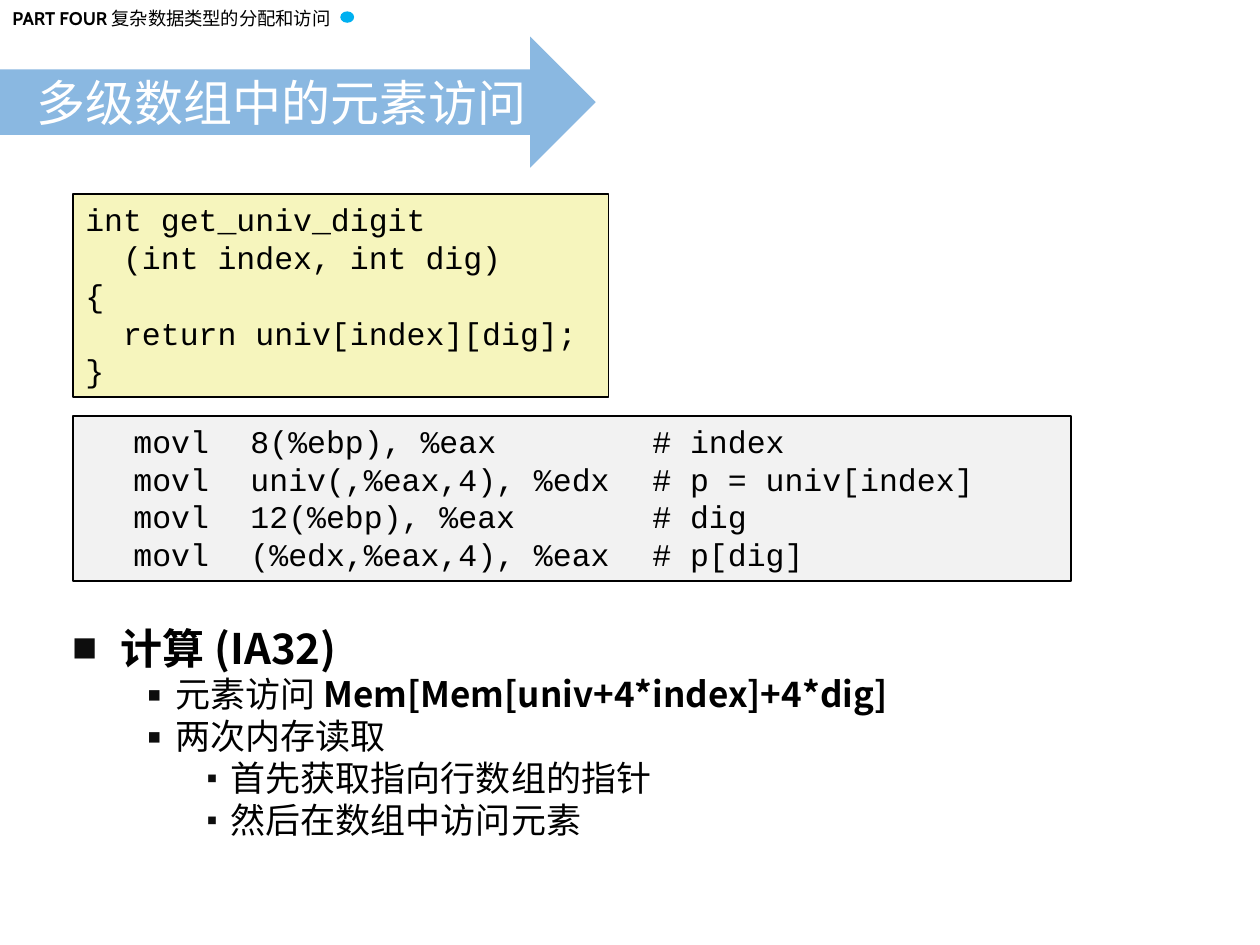
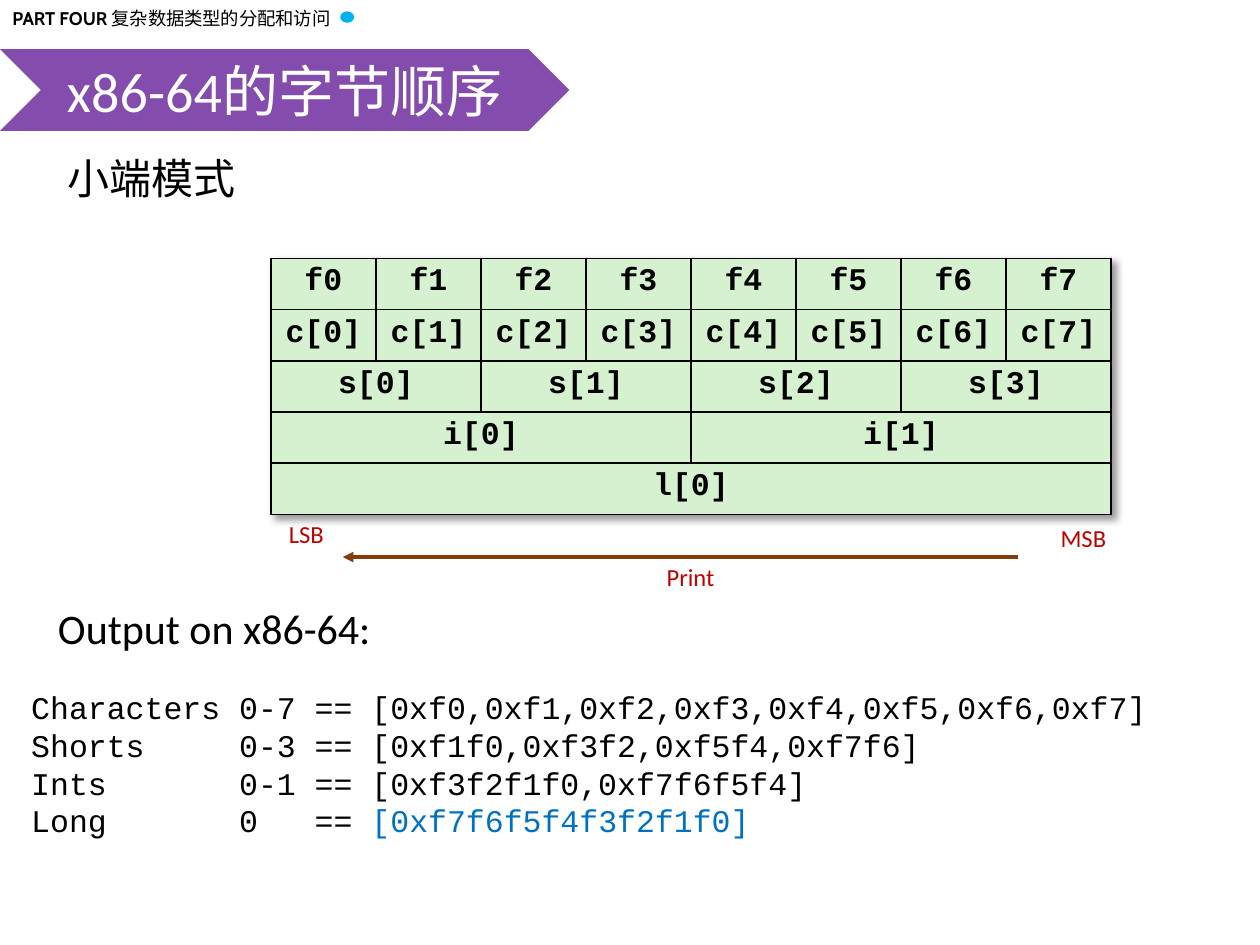
from lxml import etree
from pptx import Presentation
from pptx.dml.color import RGBColor
from pptx.enum import shapes, text
from pptx.oxml import ns
from pptx.util import Cm, Pt


class Theme:
    cjk, heading, body, code = "Noto Sans CJK SC", "Cabin", "Calibri", "Courier New"
    black, white, bullet = "000000", "FFFFFF", "0D0D0D"
    dot, arrow, chevron = "00B0F0", "5B9BD5", "7030A0"
    c_code, assembly, cells = "F6F5BD", "F2F2F2", "D5F1CF"
    label, direction, highlight = "C00000", "843C0B", "0070C0"
    header_pt, label_pt, code_pt, detail_pt = Pt(10.5), Pt(14), Pt(18), Pt(20)
    topic_pt, title_pt, wide_title_pt = Pt(24), Pt(28), Pt(32)
    tight = Cm(0.1)


def element(parent, tag, position=None, **attributes):
    child = etree.Element(ns.qn(tag), {key: str(value) for key, value in attributes.items()})
    parent.insert(len(parent) if position is None else position, child)
    return child


def write(frame, lines, style, align=text.PP_ALIGN.LEFT, **frame_format):
    frame_format = {"word_wrap": True, "vertical_anchor": text.MSO_ANCHOR.TOP} | frame_format
    for key, value in frame_format.items():
        setattr(frame, key, value)
    for number, line in enumerate(lines):
        paragraph = frame.add_paragraph() if number else frame.paragraphs[0]
        paragraph.alignment = align
        for words, changes in [(line, {})] if isinstance(line, str) else line:
            run = paragraph.add_run()
            run.text = words
            font_format = style | changes
            run.font.color.rgb = RGBColor.from_string(font_format.pop("color", Theme.black))
            for key, value in font_format.items():
                setattr(run.font, key, value)
            if font_format["name"] != Theme.code:
                element(run._r.get_or_add_rPr(), "a:ea", typeface=Theme.cjk)


code_style = {"name": Theme.code, "size": Theme.code_pt}
topic_style = {"name": Theme.body, "size": Theme.topic_pt}
label_style = {"name": Theme.body, "size": Theme.label_pt, "color": Theme.label}
tight_margins = dict.fromkeys(
    ["margin_left", "margin_top", "margin_right", "margin_bottom"], Theme.tight)

deck = Presentation()
deck.slide_width, deck.slide_height = Cm(25.4), Cm(19.05)

titles = [
    (shapes.MSO_SHAPE.RIGHT_ARROW, Theme.arrow, 71, (0, 0.74, 12.01, 2.64), Theme.title_pt,
     [("多级数组中的元素访问", {})]),
    (shapes.MSO_SHAPE.CHEVRON, Theme.chevron, 86, (0, 0.99, 11.48, 1.65), Theme.wide_title_pt,
     [("x86-64", {"name": Theme.body}), ("的字节顺序", {})]),
]
for outline, color, opacity, place, size, title in titles:
    slide = deck.slides.add_slide(deck.slide_layouts[6])
    header = slide.shapes.add_textbox(Cm(0), Cm(0.03), Cm(7.09), Cm(0.71))
    write(header.text_frame,
          [[("PART FOUR ", {"name": Theme.heading, "bold": True}), ("复杂数据类型的分配和访问", {})]],
          {"name": Theme.cjk, "size": Theme.header_pt}, word_wrap=False)
    dot = slide.shapes.add_shape(shapes.MSO_SHAPE.OVAL, Cm(6.86), Cm(0.23), Cm(0.28), Cm(0.23))
    banner = slide.shapes.add_shape(outline, *map(Cm, place))
    for shape, fill in [(dot, Theme.dot), (banner, color)]:
        shape.shadow.inherit = False
        shape.fill.solid()
        shape.fill.fore_color.rgb = RGBColor.from_string(fill)
        shape.line.fill.background()
    banner_color = banner._element.spPr.find(".//" + ns.qn("a:srgbClr"))
    element(banner_color, "a:alpha", val=opacity * 1000)
    write(banner.text_frame, [title],
          {"name": Theme.heading, "size": size, "color": Theme.white},
          text.PP_ALIGN.CENTER, vertical_anchor=text.MSO_ANCHOR.MIDDLE)

access, byte_order = deck.slides

listings = [
    (Theme.c_code, (1.47, 3.91, 10.8, 4.09), [], [
        "int get_univ_digit",
        "  (int index, int dig)",
        "{",
        "  return univ[index][dig];",
        "}",
    ]),
    (Theme.assembly, (1.47, 8.38, 20.12, 3.33), [0.97, 3.33, 10.16], [
        "\tmovl\t8(%ebp), %eax\t\t# index",
        "\tmovl\tuniv(,%eax,4), %edx\t# p = univ[index]",
        "\tmovl\t12(%ebp), %eax\t\t# dig",
        "\tmovl\t(%edx,%eax,4), %eax\t# p[dig]",
    ]),
]
for fill, place, stops, lines in listings:
    listing = access.shapes.add_shape(shapes.MSO_SHAPE.RECTANGLE, *map(Cm, place))
    listing.shadow.inherit = False
    listing.fill.solid()
    listing.fill.fore_color.rgb = RGBColor.from_string(fill)
    listing.line.color.rgb = RGBColor.from_string(Theme.black)
    listing.line.width = Pt(1)
    write(listing.text_frame, lines, code_style)
    for paragraph in listing.text_frame.paragraphs if stops else []:
        tabs = element(paragraph._p.get_or_add_pPr(), "a:tabLst")
        for stop in stops:
            element(tabs, "a:tab", pos=Cm(stop), algn="l")

calculation = access.shapes.add_textbox(Cm(1.22), Cm(12.42), Cm(23.55), Cm(5.89))
write(calculation.text_frame, [
    [("计算 (IA32)", {"size": Theme.topic_pt, "bold": True})],
    [("元素访问 ", {}), ("Mem[Mem[univ+4*index]+4*dig]", {"bold": True})],
    "两次内存读取",
    "首先获取指向行数组的指针",
    "然后在数组中访问元素",
], {"name": Theme.cjk, "size": Theme.detail_pt})
bullet_levels = [(0.97, 0.97, "■", 60), (2.06, 0.79, "▪", 110), (3.18, 0.64, "▪", 80)]
for paragraph, level in zip(calculation.text_frame.paragraphs, [0, 1, 1, 2, 2]):
    indent, hanging, symbol, percent = bullet_levels[level]
    paragraph.level = level
    properties = paragraph._p.get_or_add_pPr()
    properties.set("marL", str(Cm(indent)))
    properties.set("indent", str(-Cm(hanging)))
    bullet_color = element(properties, "a:buClr")
    element(bullet_color, "a:srgbClr", val=Theme.bullet)
    element(properties, "a:buSzPct", val=percent * 1000)
    element(properties, "a:buFont", typeface=Theme.cjk)
    element(properties, "a:buChar", char=symbol)

topics = [("小端模式", (1.27, 2.97, 7.26, 1.24)),
          ("Output on x86-64:", (1.07, 12.04, 10.19, 1.24))]
for topic, place in topics:
    box = byte_order.shapes.add_textbox(*map(Cm, place))
    write(box.text_frame, [topic], topic_style, **tight_margins)

output = byte_order.shapes.add_textbox(Cm(0.53), Cm(13.77), Cm(24.33), Cm(3.43))
write(output.text_frame, [
    "Characters 0-7 == [0xf0,0xf1,0xf2,0xf3,0xf4,0xf5,0xf6,0xf7]",
    "Shorts     0-3 == [0xf1f0,0xf3f2,0xf5f4,0xf7f6]",
    "Ints       0-1 == [0xf3f2f1f0,0xf7f6f5f4]",
    [("Long       0   == ", {}), ("[0xf7f6f5f4f3f2f1f0]", {"color": Theme.highlight})],
], code_style, **tight_margins)

byte_count = 8
layouts = [("f{}", 1), ("c[{}]", 1), ("s[{}]", 2), ("i[{}]", 4), ("l[{}]", 8)]
memory = byte_order.shapes.add_table(
    len(layouts), byte_count, Cm(5.46), Cm(5.21), Cm(16.94), Cm(5.16)).table
memory.first_row = memory.horz_banding = False
shadow = element(element(memory._tbl.tblPr, "a:effectLst", 0), "a:outerShdw",
                 blurRad=Pt(4), dist=Pt(3), dir=2700000, algn="tl", rotWithShape=0)
element(element(shadow, "a:srgbClr", val=Theme.black), "a:alpha", val=40000)
for row, (pattern, span) in enumerate(layouts):
    for column in range(byte_count):
        cell = memory.cell(row, column)
        cell.fill.solid()
        cell.fill.fore_color.rgb = RGBColor.from_string(Theme.cells)
        for position, side in enumerate(["a:lnL", "a:lnR", "a:lnT", "a:lnB"]):
            border = element(cell._tc.get_or_add_tcPr(), side, position, w=Pt(1))
            element(element(border, "a:solidFill"), "a:srgbClr", val=Theme.black)
        if column % span == 0:
            if span > 1:
                cell.merge(memory.cell(row, column + span - 1))
            write(cell.text_frame, [pattern.format(column // span)],
                  code_style | {"bold": True}, text.PP_ALIGN.CENTER)

labels = [("LSB", (5.69, 10.36, 0.94, 0.81), text.PP_ALIGN.RIGHT),
          ("MSB", (21.23, 10.44, 1.17, 0.81), text.PP_ALIGN.RIGHT),
          ("Print", (13.34, 11.23, 1.22, 0.81), text.PP_ALIGN.LEFT)]
for label, place, align in labels:
    box = byte_order.shapes.add_textbox(*map(Cm, place))
    write(box.text_frame, [label], label_style, align, word_wrap=False, **tight_margins)

print_order = byte_order.shapes.add_connector(
    shapes.MSO_CONNECTOR.STRAIGHT, Cm(6.91), Cm(11.23), Cm(20.52), Cm(11.23))
print_order.line.color.rgb = RGBColor.from_string(Theme.direction)
print_order.line.width = Pt(2)
element(print_order.line._get_or_add_ln(), "a:headEnd", type="triangle")
element(print_order._element.spPr, "a:effectLst")

deck.save("out.pptx")
